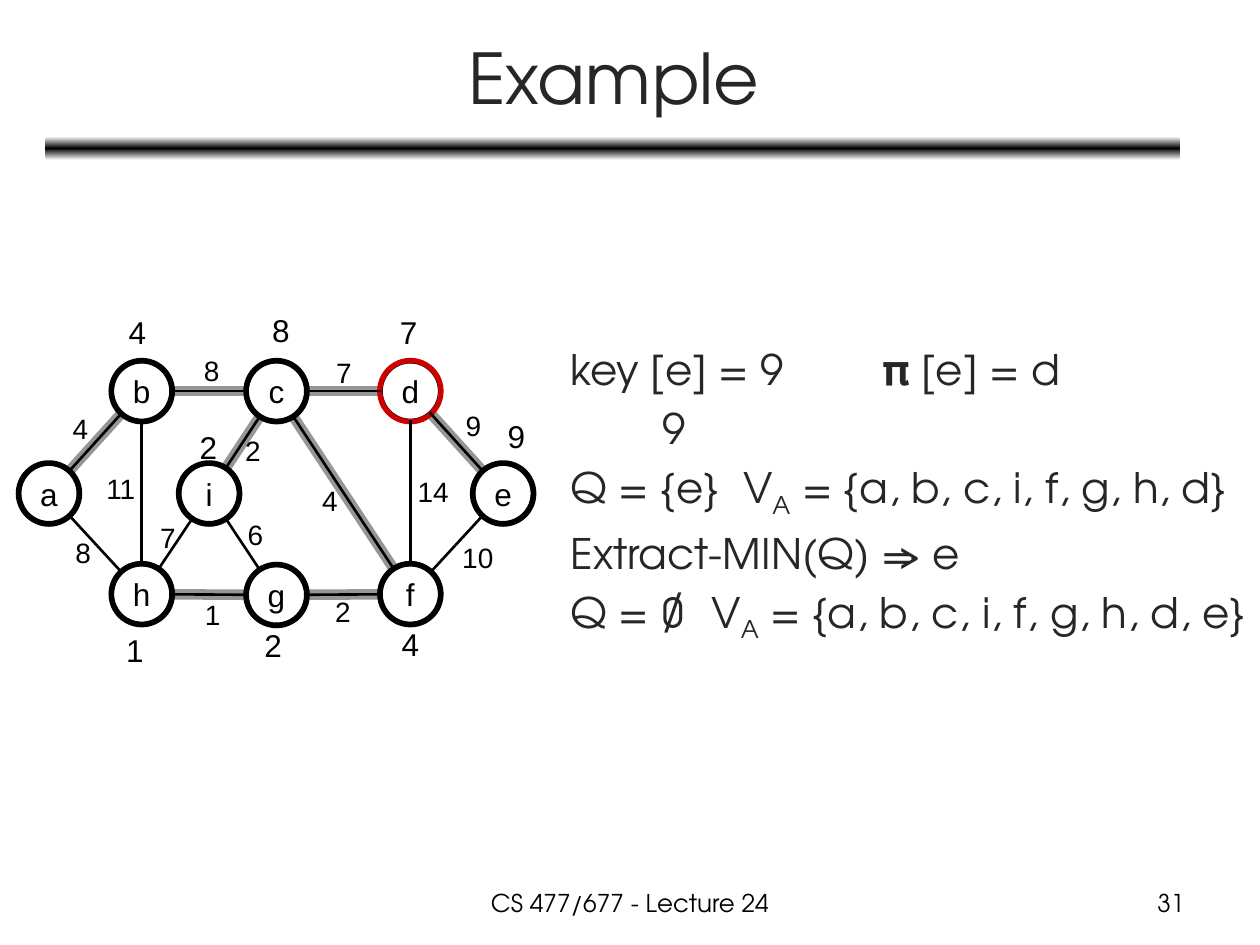
from copy import deepcopy
from math import hypot

from lxml import etree
from pptx import Presentation
from pptx.dml.color import RGBColor
from pptx.enum.shapes import MSO_CONNECTOR, MSO_SHAPE
from pptx.enum.text import MSO_ANCHOR, PP_ALIGN
from pptx.oxml.ns import qn
from pptx.util import Pt

STRAIGHT = MSO_CONNECTOR.STRAIGHT
OVAL, ROUNDED = MSO_SHAPE.OVAL, MSO_SHAPE.ROUNDED_RECTANGLE
LEFT, CENTER, RIGHT = PP_ALIGN.LEFT, PP_ALIGN.CENTER, PP_ALIGN.RIGHT
TOP, MIDDLE = MSO_ANCHOR.TOP, MSO_ANCHOR.MIDDLE
COLORS = {"black": "000000", "white": "FFFFFF", "text": "262626",
          "tree": "969696", "current": "CC0000"}
GRAPH_FONT, SLIDE_FONT = "Arial", "TeX Gyre Adventor"
NODE_SIZE, RING_SIZE = 33, 35

NODES = {"a": (18, 108), "b": (71, 49.5), "c": (148, 49.5),
         "d": (224.5, 49.5), "e": (277.5, 108), "f": (224.5, 165.5),
         "g": (148, 166), "h": (71, 165.5), "i": (109.5, 108)}
TREE_EDGES = ["ab", "bc", "cd", "ci", "cf", "gf", "hg", "de"]
WEIGHTS = {"ab": ("4", 36, 71), "bc": ("8", 111, 37.5), "cd": ("7", 186.5, 39),
           "ah": ("8", 37.5, 141.5), "bh": ("11", 59, 105),
           "hg": ("1", 111.5, 177), "gf": ("2", 186, 175.5),
           "hi": ("7", 86, 133), "ci": ("2", 134.5, 83.5),
           "cf": ("4", 178.5, 112), "df": ("14", 237.5, 107),
           "de": ("9", 260.5, 69), "fe": ("10", 263, 144.5),
           "ig": ("6", 136, 131.5)}
KEYS = {"b": ("4", 68.5, 15.5), "c": ("8", 150.5, 14.5), "d": ("7", 223.5, 15.5),
        "e": ("9", 285, 75), "i": ("2", 109, 81.5), "h": ("1", 67, 197.5),
        "g": ("2", 146, 194.5), "f": ("4", 224.5, 194)}
STEPS = [
    {"runs": ["key [e] = 9\t𝛑 [e] = d"], "tab": 178},
    {"runs": ["9"], "indent": 52.5},
    {"runs": ["Q = {e}\tV", "A", " = {a, b, c, i, f, g, h, d}"], "tab": 98.5},
    {"runs": ["Extract-MIN(Q) ⇒ e"]},
    {"runs": ["Q = ∅\tV", "A", " = {a, b, c, i, f, g, h, d, e}"], "tab": 80.5},
]


def color(name):
    """Return the named colour."""
    return RGBColor.from_string(COLORS[name])


def add_run(paragraph, text, size, font, shade):
    """Append a formatted run to a paragraph and return it."""
    run = paragraph.add_run()
    run.text = text
    for attribute, value in {"size": Pt(size), "name": font}.items():
        setattr(run.font, attribute, value)
    run.font.color.rgb = color(shade)
    return run


def add_text(slide, box, text, size, font=SLIDE_FONT, shade="black",
             align=CENTER, anchor=TOP, wrap=True):
    """Place one line of text in a box."""
    frame = slide.shapes.add_textbox(*map(Pt, box)).text_frame
    frame.word_wrap, frame.vertical_anchor = wrap, anchor
    frame.paragraphs[0].alignment = align
    add_run(frame.paragraphs[0], text, size, font, shade)


def add_label(slide, center, text, size):
    """Place a number of the graph around its centre."""
    width, height = 32, 28
    box = (center[0] - width / 2, center[1] - height / 2, width, height)
    add_text(slide, box, text, size, GRAPH_FONT, anchor=MIDDLE, wrap=False)


def add_edge(slide, start, end, shade, weight):
    """Draw an edge between the rims of two nodes given by their centres."""
    trim = NODE_SIZE / 2 / hypot(end[0] - start[0], end[1] - start[1])
    dx, dy = (trim * (e - s) for s, e in zip(start, end))
    points = (start[0] + dx, start[1] + dy, end[0] - dx, end[1] - dy)
    edge = slide.shapes.add_connector(STRAIGHT, *map(Pt, points))
    edge.line.color.rgb, edge.line.width = color(shade), Pt(weight)
    etree.SubElement(edge._element.spPr, qn("a:effectLst"))


def add_circle(slide, center, size, shade, weight):
    """Draw an unfilled circle around a centre."""
    box = (center[0] - size / 2, center[1] - size / 2, size, size)
    circle = slide.shapes.add_shape(OVAL, *map(Pt, box))
    circle.shadow.inherit = False
    circle.fill.background()
    circle.line.color.rgb, circle.line.width = color(shade), Pt(weight)
    return circle


def add_node(slide, center, letter):
    """Draw a lettered node with its ring."""
    frame = add_circle(slide, center, NODE_SIZE, "black", 1.5).text_frame
    frame.word_wrap, frame.vertical_anchor = False, MIDDLE
    frame.paragraphs[0].alignment = CENTER
    add_run(frame.paragraphs[0], letter, 18, GRAPH_FONT, "black")
    add_circle(slide, center, RING_SIZE, "current" if letter == "d" else "black", 3)


def add_header(slide, left, top, width):
    """Place the title over its shaded bar."""
    bar = slide.shapes.add_shape(
        ROUNDED, Pt(left), Pt(top + 70), Pt(width), Pt(13.5))
    bar.shadow.inherit = False
    bar.line.fill.background()
    bar.fill.gradient()
    bar.fill.gradient_angle = 90
    stops = bar._element.spPr.find(".//" + qn("a:gsLst"))
    stops.append(deepcopy(stops[-1]))
    shades = [(0, "white"), (0.5, "black"), (1, "white")]
    for stop, (position, shade) in zip(bar.fill.gradient_stops, shades):
        stop.position, stop.color.rgb = position, color(shade)
    add_text(slide, (left + 0.5, top, width, 71.5), "Example", 40,
             shade="text", anchor=MIDDLE)


def add_graph(slide, left, top):
    """Draw the weighted graph with its spanning tree and keys."""
    def place(x, y):
        """Shift a point of the graph onto the slide."""
        return left + x, top + y

    ends = {edge: [place(*NODES[n]) for n in edge] for edge in WEIGHTS}
    for edge in TREE_EDGES:
        add_edge(slide, *ends[edge], "tree", 6)
    for letter, center in NODES.items():
        add_node(slide, place(*center), letter)
    for edge, (weight, x, y) in WEIGHTS.items():
        add_edge(slide, *ends[edge], "black", 1.5)
        add_label(slide, place(x, y), weight, 16)
    for key, x, y in KEYS.values():
        add_label(slide, place(x, y), key, 18)


def add_steps(slide, left, top, width, height):
    """Write the steps of the algorithm."""
    box = slide.shapes.add_textbox(*map(Pt, (left, top, width, height)))
    frame = box.text_frame
    frame.word_wrap = True
    for number, step in enumerate(STEPS):
        line = frame.add_paragraph() if number else frame.paragraphs[0]
        line.alignment, line.space_before = LEFT, Pt(4.8)
        properties = line._p.get_or_add_pPr()
        properties.set("marL", str(Pt(step.get("indent", 0))))
        if "tab" in step:
            tabs = etree.SubElement(properties, qn("a:tabLst"))
            etree.SubElement(tabs, qn("a:tab"), pos=str(Pt(step["tab"])), algn="l")
        for text in step["runs"]:
            run = add_run(line, text, 24, SLIDE_FONT, "text")
            if text == "A":
                run.font._element.set("baseline", "-25000")


def add_footer(slide, left, top, width):
    """Place the lecture name and the page number."""
    height = 25
    add_text(slide, (left, top, 228, height), "CS 477/677 - Lecture 24", 14)
    add_text(slide, (left + width - 168, top, 168, height), "31", 14, align=RIGHT)


def main():
    """Build the slide and save it."""
    deck = Presentation()
    deck.slide_width, deck.slide_height = Pt(720), Pt(540)
    slide = deck.slides.add_slide(deck.slide_layouts[6])
    add_header(slide, 26, 8, 648.5)
    add_graph(slide, 10, 174)
    add_steps(slide, 319, 193, 401, 193)
    add_footer(slide, 246, 504, 438)
    deck.save("out.pptx")


if __name__ == "__main__":
    main()
